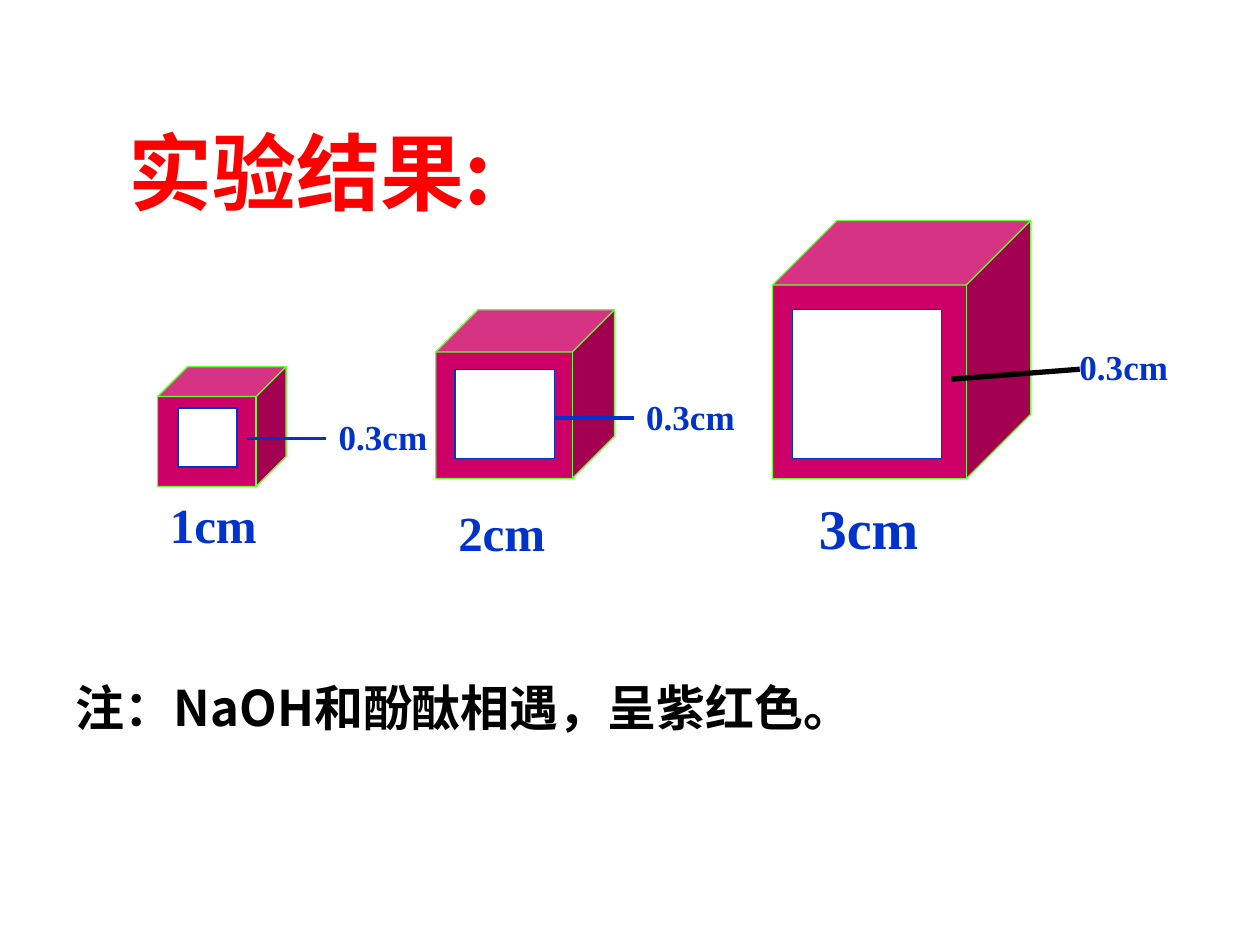
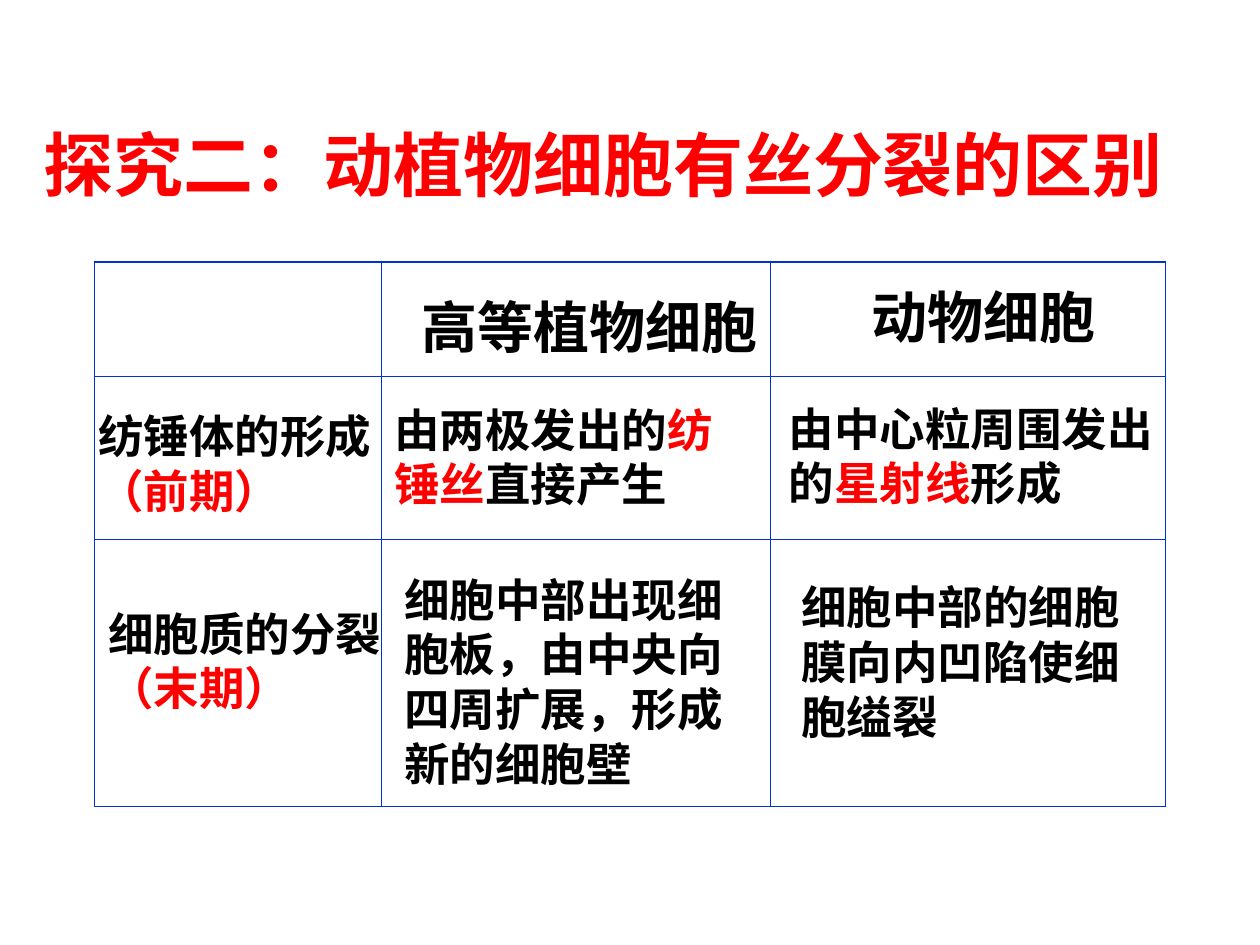
from lxml import etree
from pptx import Presentation
from pptx import util as u
from pptx.dml.color import RGBColor
from pptx.enum import shapes, text
from pptx.oxml import ns

BLUE = RGBColor(0x00, 0x33, 0xCC)
RED = RGBColor(0xFF, 0x00, 0x00)
BLACK = RGBColor(0x00, 0x00, 0x00)
WHITE = RGBColor(0xFF, 0xFF, 0xFF)
MAGENTA = RGBColor(0xCC, 0x00, 0x66)
GREEN = RGBColor(0x66, 0xFF, 0x33)
CJK, SERIF, SANS = "Noto Sans CJK SC", "Times New Roman", "Arial"

TITLE = {"size": 40, "name": SANS, "color": RED}
RESULT_TITLE = TITLE | {"size": 48, "name": CJK}
NOTE = {"size": 28, "name": CJK, "color": BLACK}
HEADING = {"size": 32, "name": SANS, "color": BLACK}
BODY = {"size": 26, "name": CJK, "color": BLACK}
EDGE = {"size": 28, "name": SERIF, "color": BLUE}
DEPTH = EDGE | {"size": 20}

CUBES = [
    {"box": (90, 209.5, 73.5, 68.5), "window": (11.7, 23.7, 33.8, 33.8),
     "edge": ("1cm", 0, 69.8, 64, 28), "leader": (51, 41, 96.5, 41),
     "leader_style": (BLUE, 2), "depth": (96.5, 24.5)},
    {"box": (249, 177, 102.2, 96.5), "window": (11, 34, 56.8, 51),
     "edge": ("2cm", 5.8, 106.7, 64, 28), "leader": (67.8, 62, 113.2, 62),
     "leader_style": (BLUE, 2), "depth": (113.2, 45.5)},
    {"box": (441.4, 126, 147.6, 147.6), "window": (11.5, 51, 85, 85),
     "edge": ("3cm", 19.4, 152.6, 71.3, 32), "leader": (102.2, 90.7, 175.6, 85),
     "leader_style": (BLACK, 3), "depth": (168.4, 67.7)},
]

TABLE_BOX = (54, 149.8, 612, 311)
COLUMN_WIDTHS = (164.2, 221.8, 226)
ROW_HEIGHTS = (65.5, 92.9, 152.6)
CELL_TEXTS = [
    ((180, 13.6, 206.6, 46), [["高等植物细胞"]], HEADING, False),
    ((437, 7.9, 142.6, 46), [["动物细胞"]], HEADING, False),
    ((-5, 79.9, 170.6, 69.8), [["纺锤体的形成"], [("（前期）", RED)]], BODY, False),
    ((0.7, 192.9, 170.6, 69.8), [["细胞质的分裂"], [("（末期）", RED)]], BODY, False),
    ((164.2, 76.3, 198.7, 69.8),
     [["由两极发出的", ("纺锤丝", RED), "直接产生"]], BODY, True),
    ((389.5, 75.6, 222.5, 69.8),
     [["由中心粒周围发出"], ["的", ("星射线", RED), "形成"]], BODY, False),
    ((169.9, 173.5, 215.3, 132.5),
     [["细胞中部出现细胞板，由中央向四周扩展，形成新的细胞壁"]], BODY, True),
    ((396.7, 177.8, 209.5, 100.8),
     [["细胞中部的细胞膜向内凹陷使细胞缢裂"]], BODY, True),
]


def points(values):
    """Turn plain numbers into lengths in points."""
    return [u.Pt(value) for value in values]


def shifted(box, left, top):
    """Move a box by the given origin."""
    return (box[0] + left, box[1] + top, *box[2:])


def set_font(run, style, color):
    """Give a run its font for Latin and East Asian letters."""
    settings = {"size": u.Pt(style["size"]), "name": style["name"], "bold": True}
    for key, value in settings.items():
        setattr(run.font, key, value)
    run.font.color.rgb = color
    properties = run.font._element
    east_asian = etree.Element(ns.qn("a:ea"), typeface=style["name"])
    properties.find(ns.qn("a:latin")).addnext(east_asian)


def add_text(slide, box, paragraphs, style, wrap=False):
    """Add a text box whose runs are strings or (string, color) pairs."""
    frame = slide.shapes.add_textbox(*points(box)).text_frame
    settings = {"word_wrap": wrap, "auto_size": text.MSO_AUTO_SIZE.SHAPE_TO_FIT_TEXT}
    for key, value in settings.items():
        setattr(frame, key, value)
    for index, parts in enumerate(paragraphs):
        paragraph = frame.add_paragraph() if index else frame.paragraphs[0]
        for part in parts:
            words, color = (part, style["color"]) if isinstance(part, str) else part
            run = paragraph.add_run()
            run.text = words
            set_font(run, style, color)


def add_block(slide, kind, box, fill, line):
    """Add a filled preset shape with a thin outline."""
    shape = slide.shapes.add_shape(kind, *points(box))
    shape.shadow.inherit = False
    shape.fill.solid()
    shape.fill.fore_color.rgb = fill
    shape.line.color.rgb = line
    shape.line.width = u.Pt(0.75)


def add_leader(slide, ends, color, width):
    """Add a straight line without a shadow."""
    line = slide.shapes.add_connector(shapes.MSO_CONNECTOR.STRAIGHT, *points(ends))
    line.line.color.rgb = color
    line.line.width = u.Pt(width)
    etree.SubElement(line._element.spPr, ns.qn("a:effectLst"))


def add_cube(slide, cube):
    """Place a cube with its window, edge length and diffusion depth."""
    left, top = cube["box"][:2]
    add_block(slide, shapes.MSO_SHAPE.CUBE, cube["box"], MAGENTA, GREEN)
    add_block(slide, shapes.MSO_SHAPE.RECTANGLE,
              shifted(cube["window"], left, top), WHITE, BLUE)
    start_x, start_y, end_x, end_y = cube["leader"]
    add_leader(slide, (left + start_x, top + start_y, left + end_x, top + end_y),
               *cube["leader_style"])
    length, edge_x, edge_y, width, size = cube["edge"]
    add_text(slide, shifted((edge_x, edge_y, width, size * 1.2 + 7.2), left, top),
             [[length]], EDGE | {"size": size})
    add_text(slide, shifted((*cube["depth"], 64.8, 31.5), left, top),
             [["0.3cm"]], DEPTH)


def set_borders(cell, widths):
    """Draw the four cell borders in blue, before the cell fill."""
    properties = cell._tc.get_or_add_tcPr()
    for index, (side, width) in enumerate(widths.items()):
        border = etree.Element(ns.qn(f"a:{side}"), w=str(int(u.Pt(width))))
        fill = etree.SubElement(border, ns.qn("a:solidFill"))
        etree.SubElement(fill, ns.qn("a:srgbClr"), val=str(BLUE))
        properties.insert(index, border)


def add_comparison(slide, box):
    """Place the ruled table and the texts lying over its cells."""
    rows, columns = len(ROW_HEIGHTS), len(COLUMN_WIDTHS)
    table = slide.shapes.add_table(rows, columns, *points(box)).table
    for flag in ("first_row", "horz_banding"):
        setattr(table, flag, False)
    for column, width in zip(table.columns, COLUMN_WIDTHS):
        column.width = u.Pt(width)
    for row, height in zip(table.rows, ROW_HEIGHTS):
        row.height = u.Pt(height)
    for row in range(rows):
        for column in range(columns):
            cell = table.cell(row, column)
            cell.fill.background()
            outer = {"lnL": column == 0, "lnR": column == columns - 1,
                     "lnT": row == 0, "lnB": row == rows - 1}
            set_borders(cell, {side: 1.08 if edge else 0.45
                               for side, edge in outer.items()})
    for place, paragraphs, style, wrap in CELL_TEXTS:
        add_text(slide, shifted(place, *box[:2]), paragraphs, style, wrap)


def build_result_slide(slide):
    """Show the three cubes with a title and a note."""
    add_text(slide, (36.3, 383.8, 630, 41), [["注：NaOH和酚酞相遇，呈紫红色。"]], NOTE, True)
    for cube in CUBES:
        add_cube(slide, cube)
    add_text(slide, (66.2, 65.5, 231, 64.8), [["实验结果:"]], RESULT_TITLE, True)


def build_comparison_slide(slide):
    """Compare mitosis in plant and animal cells."""
    add_text(slide, (18, 66.2, 671.8, 55.4),
             [["探究二：动植物细胞有丝分裂的区别"]], TITLE, True)
    add_comparison(slide, TABLE_BOX)


def main():
    """Build both slides and save the presentation."""
    presentation = Presentation()
    presentation.slide_width, presentation.slide_height = points((720, 540))
    for build in (build_result_slide, build_comparison_slide):
        build(presentation.slides.add_slide(presentation.slide_layouts[6]))
    presentation.save("out.pptx")


if __name__ == "__main__":
    main()
